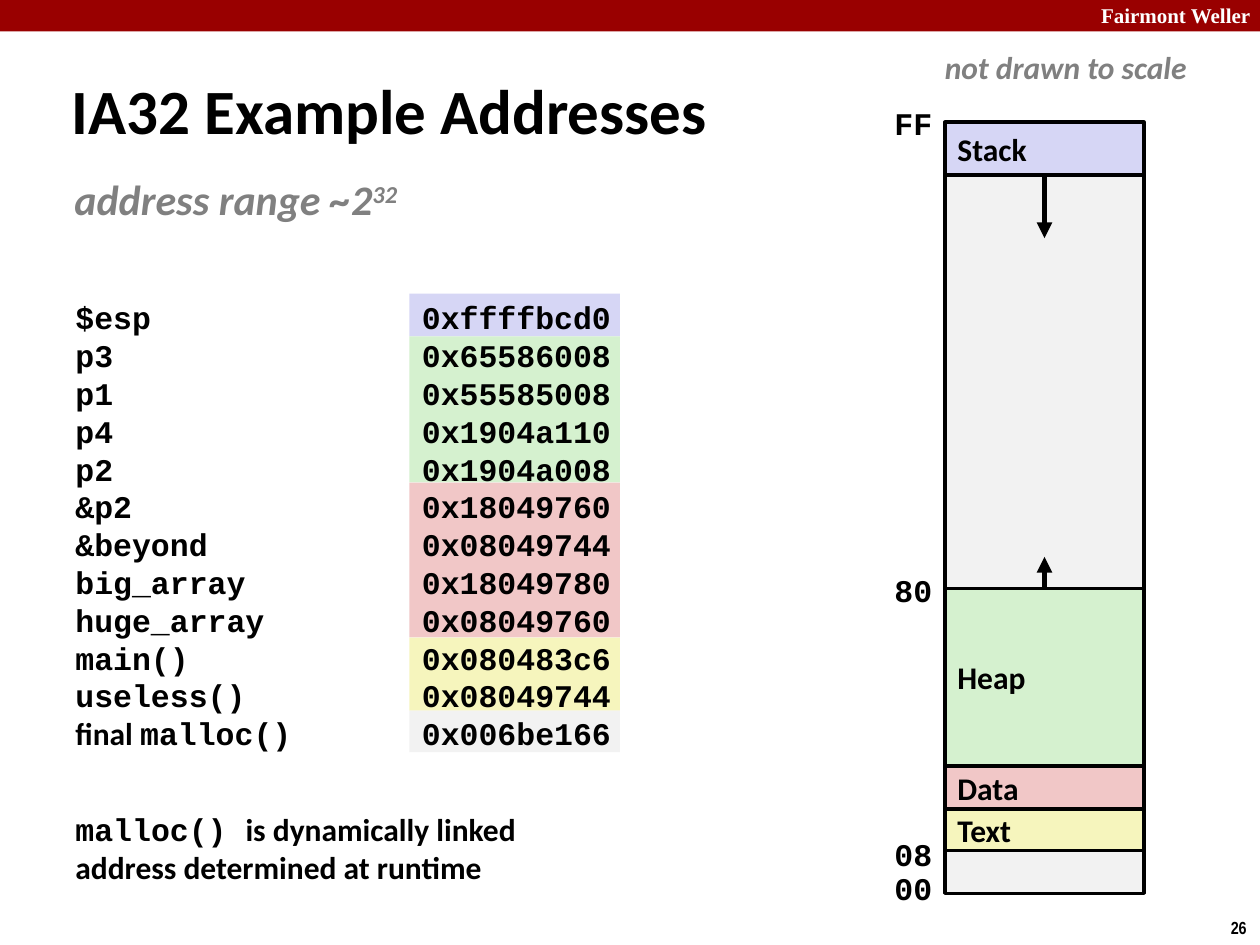
from lxml import etree
from pptx import Presentation
from pptx.dml.color import RGBColor
from pptx.enum.shapes import MSO_CONNECTOR, MSO_SHAPE
from pptx.enum.text import MSO_ANCHOR, PP_ALIGN
from pptx.oxml.ns import qn
from pptx.util import Inches, Pt

RECTANGLE = MSO_SHAPE.RECTANGLE
STRAIGHT = MSO_CONNECTOR.STRAIGHT
TOP, MIDDLE = MSO_ANCHOR.TOP, MSO_ANCHOR.MIDDLE
LEFT = PP_ALIGN.LEFT

SANS, MONO = "Calibri", "Courier New"
BLACK, GRAY, WHITE, BANNER = "000000", "808080", "FFFFFF", "990000"
STACK, HEAP, DATA, CODE, UNUSED = "D6D6F5", "D5F1CF", "F1C7C7", "F6F5BD", "F2F2F2"


def color(value):
    return RGBColor.from_string(value)


class SlideBuilder:
    def __init__(self, page):
        self.page = page

    def fill_text(self, shape, paragraphs, size=18, font=SANS, ink=BLACK, italic=False,
                  anchor=TOP, wrap=False, inset=0.1, tab=None):
        """Each paragraph is a list of strings or (string, font) pairs."""
        frame = shape.text_frame
        frame.word_wrap = wrap
        frame.vertical_anchor = anchor
        frame.margin_left = frame.margin_right = Inches(inset)
        frame.margin_top = frame.margin_bottom = Inches(0.05)
        for index, pieces in enumerate(paragraphs):
            para = frame.add_paragraph() if index else frame.paragraphs[0]
            para.alignment = LEFT
            if tab:
                tabs = etree.SubElement(para._p.get_or_add_pPr(), qn("a:tabLst"))
                etree.SubElement(tabs, qn("a:tab"), pos=str(Inches(tab)), algn="l")
            for piece in pieces:
                text, face = (piece, font) if isinstance(piece, str) else piece
                span = para.add_run()
                span.text = text
                span.font.name = face
                span.font.size = Pt(size)
                span.font.bold = True
                span.font.italic = italic
                span.font.color.rgb = color(ink)
        return frame

    def text(self, left, top, width, height, paragraphs, **style):
        box = self.page.shapes.add_textbox(
            Inches(left), Inches(top), Inches(width), Inches(height))
        return self.fill_text(box, paragraphs, **style)

    def rectangle(self, left, top, width, height, fill, outlined=False, label=None):
        box = self.page.shapes.add_shape(
            RECTANGLE, Inches(left), Inches(top), Inches(width), Inches(height))
        box.shadow.inherit = False
        box.fill.solid()
        box.fill.fore_color.rgb = color(fill)
        if outlined:
            box.line.color.rgb = color(BLACK)
            box.line.width = Pt(2)
        else:
            box.line.fill.background()
        if label:
            self.fill_text(box, [[label]], anchor=MIDDLE, wrap=True)

    def arrow(self, x, start, end):
        connector = self.page.shapes.add_connector(
            STRAIGHT, Inches(x), Inches(start), Inches(x), Inches(end))
        connector.line.color.rgb = color(BLACK)
        connector.line.width = Pt(3)
        properties = connector._element.spPr
        etree.SubElement(properties.find(qn("a:ln")), qn("a:tailEnd"), type="triangle")
        etree.SubElement(properties, qn("a:effectLst"))


deck = Presentation()
deck.slide_width, deck.slide_height = Inches(10), Inches(7.5)
slide = SlideBuilder(deck.slides.add_slide(deck.slide_layouts[6]))

# Banner and page number
slide.rectangle(0, 0, 10, 0.25, BANNER)
slide.text(8.64, -0.03, 1.43, 0.3, [["Fairmont Weller"]],
           size=12, font="Times New Roman", ink=WHITE, wrap=True)
slide.text(9.67, 7.23, 0.34, 0.27, [["26"]], size=10, font="Arial Narrow")

# Title and address range
slide.text(0.47, 0.55, 7.19, 0.63, [["IA32 Example Addresses"]],
           size=36, anchor=MIDDLE, wrap=True)
range_frame = slide.text(0.54, 1.33, 2.71, 0.5, [["address range ~2", "32"]],
                         size=24, ink=GRAY, italic=True, inset=0.05)
exponent = range_frame.paragraphs[0].runs[1]
exponent._r.get_or_add_rPr().set("baseline", "30000")

# Colour bands behind the addresses
BANDS = [(2.33, 2.67, STACK), (2.67, 3.83, HEAP), (3.83, 5.06, DATA),
         (5.06, 5.64, CODE), (5.64, 5.97, UNUSED)]
for top, bottom, fill in BANDS:
    slide.rectangle(3.25, top, 1.67, bottom - top, fill)

# Address list
ADDRESSES = [
    ("$esp", "0xffffbcd0"), ("p3", "0x65586008"), ("p1", "0x55585008"),
    ("p4", "0x1904a110"), ("p2", "0x1904a008"), ("&p2", "0x18049760"),
    ("&beyond", "0x08049744"), ("big_array", "0x18049780"),
    ("huge_array", "0x08049760"), ("main()", "0x080483c6"),
    ("useless()", "0x08049744"),
]
rows = [[f"{name}\t{address}"] for name, address in ADDRESSES]
rows.append([("final ", SANS), "malloc()\t0x006be166"])
slide.text(0.5, 2.32, 4.66, 3.73, rows, font=MONO, wrap=True, tab=2.75)

# Remark on malloc
slide.text(0.5, 6.38, 3.72, 0.71,
           [[("malloc() ", MONO), "is dynamically linked"],
            ["address determined at runtime"]])

# Memory map
MAP_LEFT, MAP_WIDTH = 7.5, 1.58
slide.rectangle(MAP_LEFT, 0.98, MAP_WIDTH, 6.11, UNUSED, outlined=True)
SECTIONS = [("Stack", 0.97, 1.39, STACK), ("Text", 6.42, 6.75, CODE),
            ("Data", 6.08, 6.42, DATA), ("Heap", 4.67, 6.08, HEAP)]
for name, top, bottom, fill in SECTIONS:
    slide.rectangle(MAP_LEFT, top, MAP_WIDTH, bottom - top, fill, True, name)

# Growth directions of stack and heap
for start, end in [(1.39, 1.89), (4.67, 4.42)]:
    slide.arrow(MAP_LEFT + MAP_WIDTH / 2, start, end)

# Address marks and scale remark
for mark, top in [("FF", 0.78), ("80", 4.48), ("08", 6.58), ("00", 6.85)]:
    slide.text(7, top, 0.5, 0.4, [[mark]], font=MONO)
slide.text(7.4, 0.33, 2.13, 0.4, [["not drawn to scale"]], ink=GRAY, italic=True)

deck.save("out.pptx")
